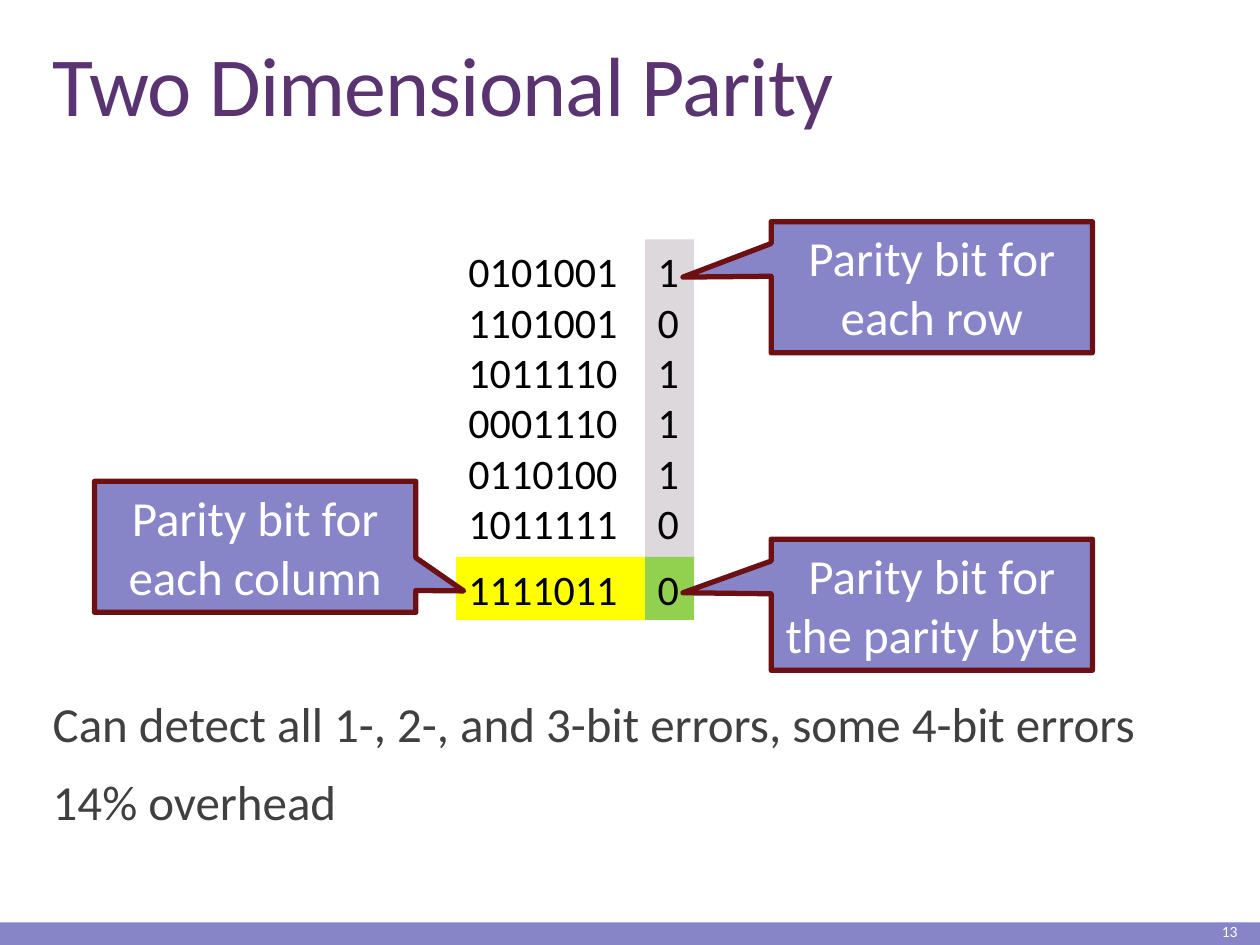
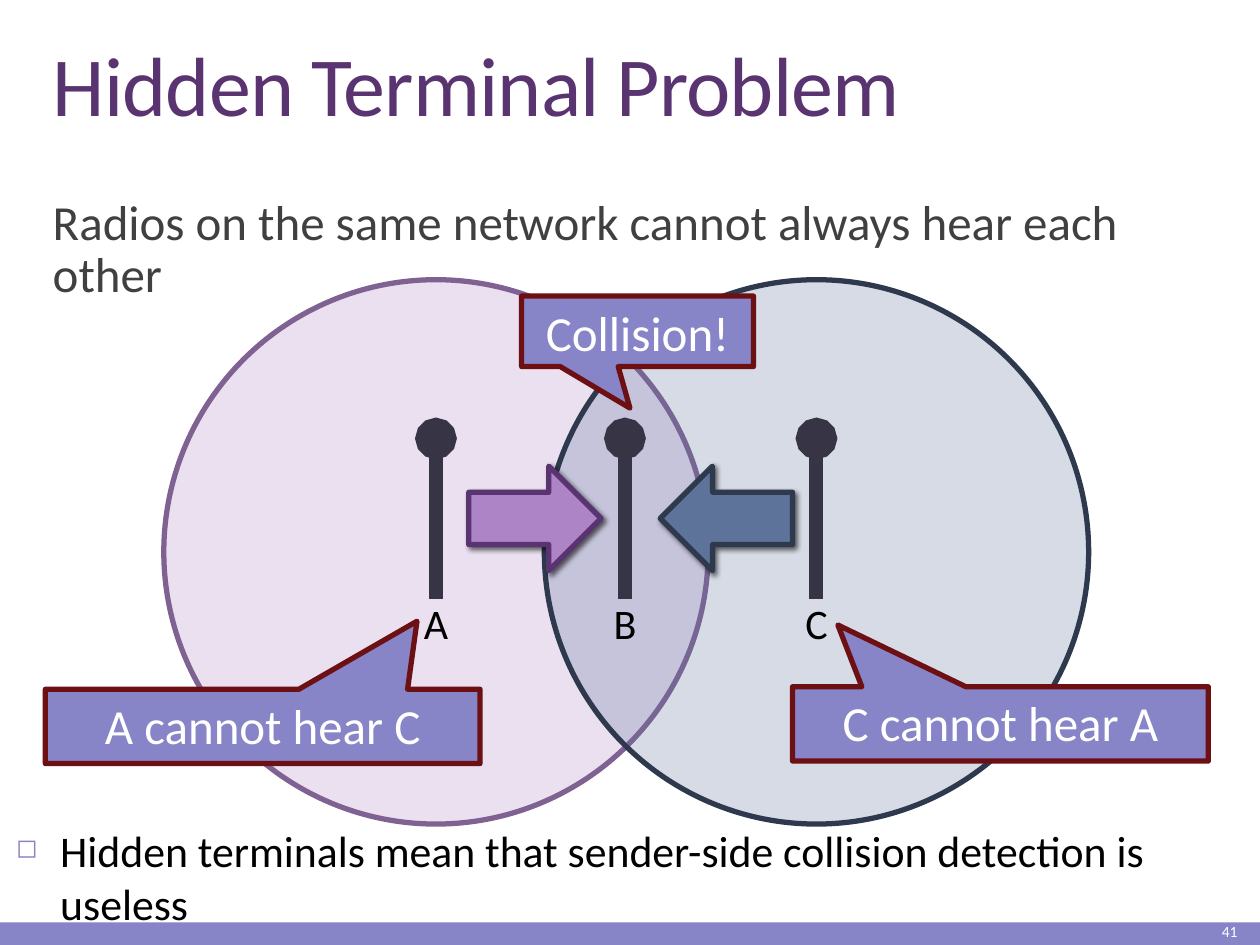
from lxml.etree import SubElement
from pptx import Presentation
from pptx.dml.color import RGBColor
from pptx.enum.shapes import MSO_CONNECTOR, MSO_SHAPE as SHAPE
from pptx.enum.text import MSO_ANCHOR as ANCHOR, MSO_AUTO_SIZE, PP_ALIGN as ALIGN
from pptx.oxml import parse_xml
from pptx.oxml.ns import nsdecls, qn
from pptx.util import Inches, Pt

FONT = "Calibri"
COLORS = {
    "band": "8784C7", "title": "5A3471", "body": "404040", "ink": "000000",
    "white": "FFFFFF", "callout_edge": "6D1014", "row_parity": "DCD8DC",
    "column_parity": "FFFF00", "corner_parity": "92D050", "antenna": "373545",
    "a": "AD84C6", "a_range": "806292", "a_arrow": "5A3471",
    "c": "5D739A", "c_edge": "2E394D",
}

deck = Presentation()
deck.slide_width, deck.slide_height = Inches(10), Inches(7.5)
COL, ROW = deck.slide_width / 100, deck.slide_height / 75


def add(slide, kind, place, fill=None, edge=None):
    """Add a preset shape, or a text box if kind is None, at grid columns and rows."""
    left, top, width, height = place
    box = [int(left * COL), int(top * ROW), int(width * COL), int(height * ROW)]
    if kind is None:
        return slide.shapes.add_textbox(*box)
    shape = slide.shapes.add_shape(kind, *box)
    shape.shadow.inherit = False
    shape.fill.solid()
    shape.fill.fore_color.rgb = RGBColor.from_string(COLORS[fill])
    if edge:
        shape.line.color.rgb = RGBColor.from_string(COLORS[edge])
        shape.line.width = Pt(3)
    else:
        shape.line.fill.background()
    return shape


def write(shape, text, size=28, color="ink", align=ALIGN.LEFT, anchor=ANCHOR.TOP,
          leading=None, before=0, after=0, tracking=None, bullet=None):
    frame = shape.text_frame
    frame.word_wrap = True
    frame.auto_size = MSO_AUTO_SIZE.NONE
    frame.vertical_anchor = anchor
    for number, line in enumerate(text.split("\n")):
        paragraph = frame.add_paragraph() if number else frame.paragraphs[0]
        if bullet:
            props = paragraph._p.get_or_add_pPr()
            props.set("marL", str(Inches(0.35)))
            props.set("indent", str(-Inches(0.35)))
            bullet_color = SubElement(props, qn("a:buClr"))
            SubElement(bullet_color, qn("a:srgbClr"), val=COLORS["band"])
            SubElement(props, qn("a:buSzPct"), val="60000")
            SubElement(props, qn("a:buChar"), char=bullet)
        paragraph.alignment = align
        paragraph.line_spacing = leading
        paragraph.space_before = Pt(before if number else 0)
        paragraph.space_after = Pt(after)
        run = paragraph.add_run()
        run.text = line
        run.font.name = FONT
        run.font.size = Pt(size)
        run.font.color.rgb = RGBColor.from_string(COLORS[color])
        if tracking is not None:
            run._r.get_or_add_rPr().set("spc", str(tracking))


# Title, statement, footer and callouts (text, place, tip) of each slide
PAGES = [
    {
        "title": "Two Dimensional Parity", "number": "13", "statement_top": 55.1,
        "statement": "Can detect all 1-, 2-, and 3-bit errors, some 4-bit errors\n"
                     "14% overhead",
        "callouts": [
            ("Parity bit for each row", (61.2, 17.6, 25.5, 10.4), (54.2, 22)),
            ("Parity bit for each column", (7.5, 38.2, 25.5, 10.4), (36.8, 46.9)),
            ("Parity bit for the parity byte", (61.2, 42.8, 25.5, 10.4), (54.2, 47.05)),
        ],
    },
    {
        "title": "Hidden Terminal Problem", "number": "41", "statement_top": 15.2,
        "statement": "Radios on the same network cannot always hear each other",
        "callouts": [
            ("Collision!", (41.4, 23.5, 18.4, 5.6), (50, 32.4)),
            ("A cannot hear C", (3.6, 54.7, 34.5, 5.9), (33.1, 49.3)),
            ("C cannot hear A", (62.9, 54.5, 33, 5.9), (66.5, 49.6)),
        ],
    },
]

for page in PAGES:
    slide = page["slide"] = deck.slides.add_slide(deck.slide_layouts[5])
    add(slide, SHAPE.RECTANGLE, (0, 73.2, 100, 1.8), "band")
    title = slide.shapes.title
    title.left, title.top = int(3.2 * COL), int(3.1 * ROW)
    title.width, title.height = int(94.8 * COL), int(8 * ROW)
    write(title, page["title"], size=48, color="title", anchor=ANCHOR.BOTTOM,
          leading=0.85, tracking=-50)
    top = page["statement_top"]
    write(add(slide, None, (3.2, top, 94.8, 67.6 - top)), page["statement"],
          color="body", leading=0.9, before=12, after=2)
    write(add(slide, None, (88.4, 72.8, 10.8, 2.2)), page["number"], size=8.9,
          color="white", align=ALIGN.RIGHT, anchor=ANCHOR.MIDDLE)

# Data bits with their row, column and corner parity
parity_slide, terminal_slide = (page["slide"] for page in PAGES)
data_rows = ["0101001", "1101001", "1011110", "0001110", "0110100", "1011111"]
row_parity = [str(row.count("1") % 2) for row in data_rows]
column_parity = "".join(str(bits.count("1") % 2) for bits in zip(*data_rows))
corner_parity = str(row_parity.count("1") % 2)

DATA_LEFT, DATA_WIDTH, PARITY_WIDTH = 36.2, 15, 3.9
DATA_TOP, DATA_HEIGHT, PARITY_HEIGHT = 19, 25.2, 5
PARITY_LEFT, PARITY_TOP = DATA_LEFT + DATA_WIDTH, DATA_TOP + DATA_HEIGHT
for bits, place, fill in [
    ("\n".join(data_rows), (DATA_LEFT, DATA_TOP, DATA_WIDTH, DATA_HEIGHT), None),
    ("\n".join(row_parity), (PARITY_LEFT, DATA_TOP, PARITY_WIDTH, DATA_HEIGHT), "row_parity"),
    (column_parity, (DATA_LEFT, PARITY_TOP, DATA_WIDTH, PARITY_HEIGHT), "column_parity"),
    (corner_parity, (PARITY_LEFT, PARITY_TOP, PARITY_WIDTH, PARITY_HEIGHT), "corner_parity"),
]:
    kind = SHAPE.RECTANGLE if fill else None
    write(add(parity_slide, kind, place, fill), bits, size=24)

# Radio ranges, see-through so that their overlap shows
RANGE_SIZE = 43.2
for left, fill, edge in [(13, "a", "a_range"), (43.2, "c", "c_edge")]:
    radio_range = add(terminal_slide, SHAPE.OVAL, (left, 22.2, RANGE_SIZE, RANGE_SIZE), fill, edge)
    tint = radio_range._element.spPr.find(qn("a:solidFill"))[0]
    SubElement(tint, qn("a:alpha"), val="25000")

# Terminals
for name, x in [("A", 34.6), ("B", 49.6), ("C", 64.8)]:
    antenna = terminal_slide.shapes.add_connector(
        MSO_CONNECTOR.STRAIGHT, int(x * COL), int(34.8 * ROW), int(x * COL), int(47.5 * ROW))
    antenna.line.color.rgb = RGBColor.from_string(COLORS["antenna"])
    antenna.line.width = Pt(8)
    SubElement(antenna.line._get_or_add_ln(), qn("a:headEnd"), type="oval")
    SubElement(antenna._element.spPr, qn("a:effectLst"))
    write(add(terminal_slide, None, (x - 2.05, 46.9, 4.1, 5)), name, size=24, align=ALIGN.CENTER)

# Transmissions towards B
for kind, left, fill, edge in [
    (SHAPE.RIGHT_ARROW, 37.2, "a", "a_arrow"),
    (SHAPE.LEFT_ARROW, 52.4, "c", "c_edge"),
]:
    transmission = add(terminal_slide, kind, (left, 37, 10.5, 8.3), fill, edge)
    effects = transmission._element.spPr.find(qn("a:effectLst"))
    effects.append(parse_xml(
        f'<a:outerShdw {nsdecls("a")} blurRad="{Pt(3)}" dist="{Pt(2)}" dir="2700000" '
        f'rotWithShape="0"><a:srgbClr val="{COLORS["ink"]}"><a:alpha val="60000"/>'
        '</a:srgbClr></a:outerShdw>'))

for page in PAGES:
    for text, place, (tip_x, tip_y) in page["callouts"]:
        left, top, width, height = place
        callout = add(page["slide"], SHAPE.RECTANGULAR_CALLOUT, place, "band", "callout_edge")
        callout.adjustments[0] = (tip_x - left) / width - 0.5
        callout.adjustments[1] = (tip_y - top) / height - 0.5
        write(callout, text, color="white", align=ALIGN.CENTER)

write(add(terminal_slide, None, (0.3, 64.9, 98.3, 6.6)),
      "Hidden terminals mean that sender-side collision detection is useless",
      size=25, bullet="◻")

deck.save("out.pptx")
